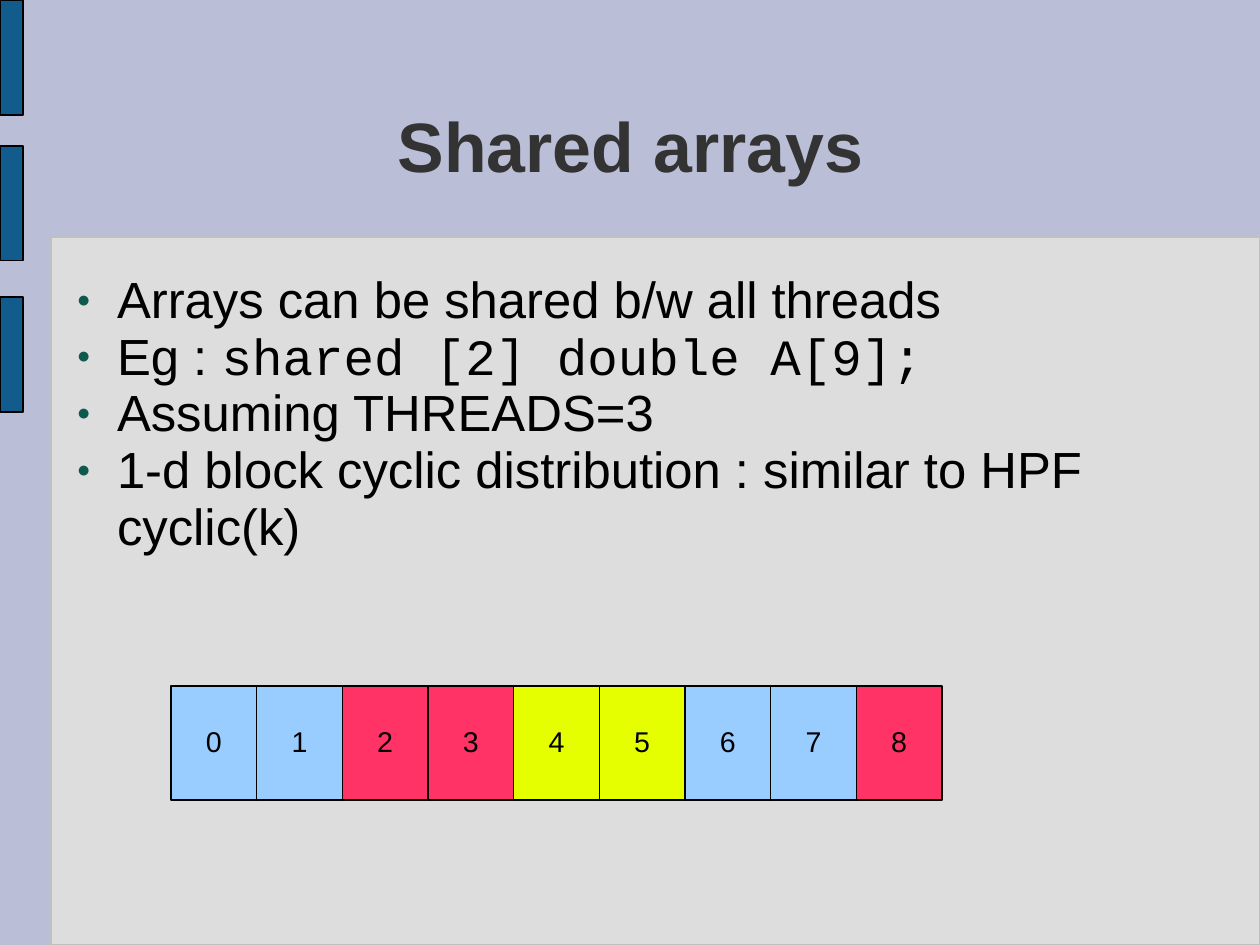
from dataclasses import dataclass

from lxml import etree
from pptx import Presentation
from pptx import util as u
from pptx.dml.color import RGBColor
from pptx.enum import shapes, text
from pptx.oxml.ns import qn


@dataclass(frozen=True)
class Theme:
    background: str = "BABED6"
    panel: str = "DDDDDD"
    panel_line: str = "C0C0C0"
    bar: str = "125C8D"
    line: str = "000000"
    title: str = "333333"
    body: str = "000000"
    bullet: str = "0E594D"
    threads: tuple = ("99CCFF", "FF3366", "E6FF00")
    sans: str = "Arial"
    mono: str = "Courier New"
    title_size: int = 44
    body_size: int = 32
    cell_size: int = 18
    line_width: float = 0.75
    spacing: float = 0.93


T = Theme()
TITLE = "Shared arrays"
BULLETS = [
    [("Arrays can be shared b/w all threads", T.sans)],
    [("Eg : ", T.sans), ("shared [2] double A[9];", T.mono)],
    [("Assuming THREADS=3", T.sans)],
    [("1-d block cyclic distribution : similar to HPF cyclic(k)", T.sans)],
]
ARRAY_LENGTH = 9
BLOCK = 2

SLIDE = (1260, 945)
PANEL = (51, 237, 1209, 708)
BAR_TOPS = (0, 146, 297)
BAR_SIZE = (23, 115)
TITLE_BOX = (93, 70, 1076, 158)
BODY_BOX = (63, 273, 1137, 613)
ARRAY_BOX = (171, 686, 771, 114)
BULLET_INDENT = 54
BULLET_HANG = 40
EMU_PER_PX = 8000


def px(n):
    return u.Emu(round(n * EMU_PER_PX))


def rgb(value):
    return RGBColor.from_string(value)


def add_rect(s, box, fill, line):
    sp = s.shapes.add_shape(shapes.MSO_SHAPE.RECTANGLE, *map(px, box))
    sp.shadow.inherit = False
    sp.fill.solid()
    sp.fill.fore_color.rgb = rgb(fill)
    sp.line.color.rgb = rgb(line)
    sp.line.width = u.Pt(T.line_width)
    return sp


def add_run(p, words, font, size, color, bold=False):
    r = p.add_run()
    r.text = words
    r.font.name = font
    r.font.size = u.Pt(size)
    r.font.color.rgb = rgb(color)
    r.font.bold = bold


def clear_margins(tf):
    tf.margin_left = tf.margin_right = tf.margin_top = tf.margin_bottom = 0
    tf.word_wrap = True
    tf.auto_size = text.MSO_AUTO_SIZE.NONE


def add_bullet(p):
    pPr = p._p.get_or_add_pPr()
    pPr.set("marL", str(px(BULLET_INDENT)))
    pPr.set("indent", str(-px(BULLET_HANG)))
    color = etree.SubElement(pPr, qn("a:buClr"))
    etree.SubElement(color, qn("a:srgbClr"), val=T.bullet)
    etree.SubElement(pPr, qn("a:buSzPct"), val="45000")
    etree.SubElement(pPr, qn("a:buFont"), typeface=T.sans)
    etree.SubElement(pPr, qn("a:buChar"), char="●")


def add_title(s):
    sp = s.shapes.title
    sp.left, sp.top, sp.width, sp.height = map(px, TITLE_BOX)
    tf = sp.text_frame
    clear_margins(tf)
    tf.vertical_anchor = text.MSO_ANCHOR.MIDDLE
    p = tf.paragraphs[0]
    p.alignment = text.PP_ALIGN.CENTER
    p.line_spacing = T.spacing
    add_run(p, TITLE, T.sans, T.title_size, T.title, bold=True)


def add_body(s):
    tf = s.shapes.add_textbox(*map(px, BODY_BOX)).text_frame
    clear_margins(tf)
    for i, runs in enumerate(BULLETS):
        p = tf.add_paragraph() if i else tf.paragraphs[0]
        add_bullet(p)
        p.line_spacing = T.spacing
        for words, font in runs:
            add_run(p, words, font, T.body_size, T.body)


def add_array(s):
    left, top, width, height = ARRAY_BOX
    cell = width / ARRAY_LENGTH
    for i in range(ARRAY_LENGTH):
        owner = i // BLOCK % len(T.threads)
        sp = add_rect(s, (left + i * cell, top, cell, height), T.threads[owner], T.line)
        tf = sp.text_frame
        tf.word_wrap = False
        tf.vertical_anchor = text.MSO_ANCHOR.MIDDLE
        p = tf.paragraphs[0]
        p.alignment = text.PP_ALIGN.CENTER
        p.line_spacing = T.spacing
        add_run(p, str(i), T.sans, T.cell_size, T.body)


def main():
    prs = Presentation()
    prs.slide_width, prs.slide_height = map(px, SLIDE)
    s = prs.slides.add_slide(prs.slide_layouts[5])
    s.background.fill.solid()
    s.background.fill.fore_color.rgb = rgb(T.background)
    add_rect(s, PANEL, T.panel, T.panel_line)
    for top in BAR_TOPS:
        add_rect(s, (0, top, *BAR_SIZE), T.bar, T.line)
    add_title(s)
    add_body(s)
    add_array(s)
    prs.save("out.pptx")


if __name__ == "__main__":
    main()
